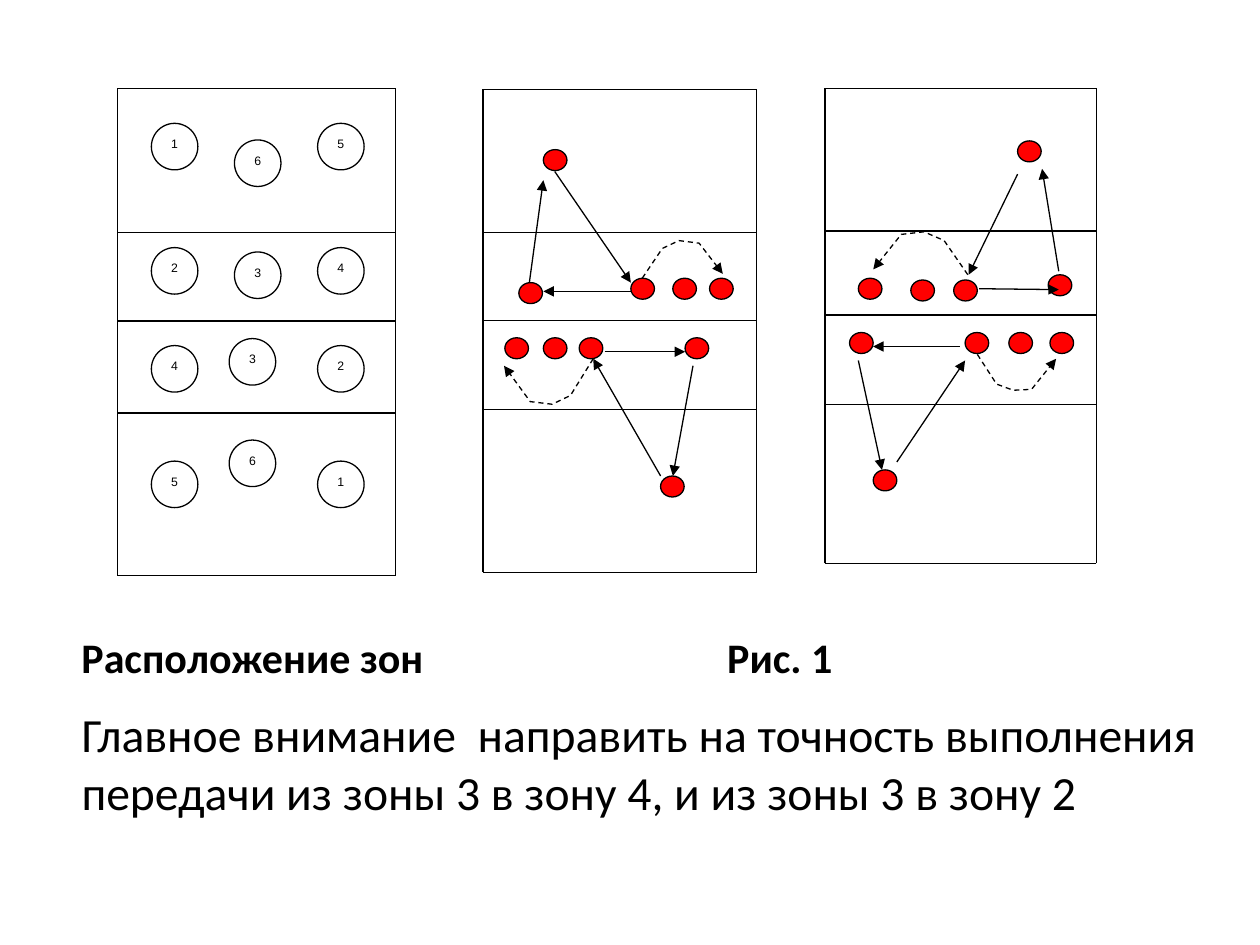
from dataclasses import dataclass
from itertools import pairwise

from lxml.etree import SubElement
from pptx import Presentation
from pptx.dml.color import RGBColor
from pptx.enum.dml import MSO_LINE
from pptx.enum.shapes import MSO_CONNECTOR, MSO_SHAPE
from pptx.enum.text import MSO_ANCHOR, PP_ALIGN
from pptx.oxml.ns import qn
from pptx.util import Pt


@dataclass(frozen=True)
class Theme:
    ink: RGBColor = RGBColor(0, 0, 0)
    paper: RGBColor = RGBColor(255, 255, 255)
    player: RGBColor = RGBColor(255, 0, 0)
    stroke: float = 0.75
    caption: tuple = (("name", "Calibri"), ("size", Pt(24)), ("bold", True))
    body: tuple = (("name", "Calibri"), ("size", Pt(27.2)))
    zone: tuple = (("name", "Arial"), ("size", Pt(7)))


THEME = Theme()
ZONE_SIZE = (26.6, 26.6)
PLAYER_SIZE = (13.5, 12)

# Courts: left, top, right, bottom and the heights of the inner lines
ZONE_COURT = ((67, 50.5, 226, 329), (133, 183.5, 236))
DRILL_COURTS = [
    ((276, 51, 432.5, 327), (133, 183, 234)),
    ((471.5, 50.5, 626.5, 322), (132, 180, 231)),
]

# Zone rows: numbers from left to right, top of outer zones, middle zone
OUTER_LEFTS = (86.5, 181.5)
ZONE_ROWS = [
    ("165", 70.5, (134, 80)),
    ("234", 141.5, (134, 144)),
    ("432", 197.5, (131, 193.5)),
    ("561", 263.5, (131, 251.5)),
]

# Drills, one per drill court: players, ball passes, dashed high passes
PLAYERS = [
    [(310.5, 85.5), (296.5, 161.5), (360.5, 159), (384.5, 159), (405.5, 159),
     (288.5, 193), (310.5, 193), (331, 193), (391.5, 193), (377.5, 272)],
    [(581.5, 80.5), (490.5, 159), (520.5, 160), (545, 160), (599, 157),
     (485.5, 190), (551.5, 190), (576.5, 190), (600, 190), (499, 268.5)],
]
PASSES = [
    [((317, 98), (360.5, 161.5)), ((360.5, 166.5), (310.5, 166.5)),
     ((302.5, 161.5), (310.5, 103)), ((345.5, 201), (391.5, 201)),
     ((396, 209), (384.5, 272)), ((377.5, 272), (339, 205))],
    [((490.5, 206), (504, 268.5)), ((512.5, 264), (551.5, 206)),
     ((581.5, 99.5), (553.5, 157)), ((548.5, 198), (499, 198)),
     ((605, 155), (595.5, 96.5)), ((559.5, 165), (605, 165.5))],
]
HIGH_PASSES = [
    [[(367, 159), (378.5, 142), (388, 137.5), (399.5, 139), (413, 156.5)],
     [(339, 205), (326, 226), (315.5, 231), (303, 229.5), (288, 209)]],
    [[(558.5, 202.5), (569.5, 219.5), (579, 223), (589.5, 222.5), (603.5, 205)],
     [(553, 157), (539.5, 137.5), (528, 132.5), (515, 134), (499, 154)]],
]


def points(*lengths):
    return [Pt(length) for length in lengths]


def write(paragraph, text, style):
    run = paragraph.add_run()
    run.text = text
    for attribute, value in style:
        setattr(run.font, attribute, value)
    run.font.color.rgb = THEME.ink


def outline(line, arrow=False):
    line.color.rgb = THEME.ink
    line.width = Pt(THEME.stroke)
    if arrow:
        SubElement(line._get_or_add_ln(), qn("a:tailEnd"), type="triangle")


def add_line(group, start, end, arrow=False):
    connector = group.shapes.add_connector(
        MSO_CONNECTOR.STRAIGHT, *points(*start, *end))
    outline(connector.line, arrow)
    SubElement(connector._element.spPr, qn("a:effectLst"))


def add_circle(group, position, size, color):
    circle = group.shapes.add_shape(MSO_SHAPE.OVAL, *points(*position, *size))
    circle.shadow.inherit = False
    circle.fill.solid()
    circle.fill.fore_color.rgb = color
    outline(circle.line)
    return circle


def add_zone(group, number, position):
    frame = add_circle(group, position, ZONE_SIZE, THEME.paper).text_frame
    frame.vertical_anchor = MSO_ANCHOR.TOP
    frame.paragraphs[0].alignment = PP_ALIGN.CENTER
    write(frame.paragraphs[0], number, THEME.zone)


def add_high_pass(group, route):
    start, *rest = [points(*point) for point in route]
    builder = group.shapes.build_freeform(*start)
    builder.add_line_segments(rest, close=False)
    curve = builder.convert_to_shape()
    curve.shadow.inherit = False
    curve.fill.background()
    curve.line.dash_style = MSO_LINE.DASH
    outline(curve.line, arrow=True)


def add_court(slide, bounds, inner_lines):
    group = slide.shapes.add_group_shape()
    left, top, right, bottom = bounds
    corners = [(left, top), (right, top), (right, bottom), (left, bottom)]
    for start, end in pairwise(corners + corners[:1]):
        add_line(group, start, end)
    for height in inner_lines:
        add_line(group, (left, height), (right, height))
    return group


def add_text(slide, bounds, text, style, anchor, tab=None):
    box = slide.shapes.add_textbox(*points(*bounds))
    frame = box.text_frame
    frame.word_wrap = True
    frame.vertical_anchor = anchor
    paragraph = frame.paragraphs[0]
    if tab:
        stops = SubElement(paragraph._p.get_or_add_pPr(), qn("a:tabLst"))
        SubElement(stops, qn("a:tab"), pos=str(Pt(tab)), algn="l")
    write(paragraph, text, style)


def main():
    deck = Presentation()
    deck.slide_width, deck.slide_height = points(720, 540)
    slide = deck.slides.add_slide(deck.slide_layouts[6])

    # Caption and main advice
    add_text(slide, (39.5, 348.5, 596, 44.5), "Расположение зон\tРис. 1",
             THEME.caption, MSO_ANCHOR.BOTTOM, tab=369)
    add_text(slide, (39.5, 399.5, 652.5, 106.5),
             "Главное внимание  направить на точность выполнения "
             "передачи из зоны 3 в зону 4, и из зоны 3 в зону 2",
             THEME.body, MSO_ANCHOR.TOP)

    # Court with numbered zones
    zones = add_court(slide, *ZONE_COURT)
    for numbers, outer_top, middle in ZONE_ROWS:
        first, last = [(left, outer_top) for left in OUTER_LEFTS]
        for number, position in zip(numbers, (first, middle, last)):
            add_zone(zones, number, position)

    # Courts with passing drills
    for court, players, passes, high_passes in zip(
            DRILL_COURTS, PLAYERS, PASSES, HIGH_PASSES):
        drill = add_court(slide, *court)
        for position in players:
            add_circle(drill, position, PLAYER_SIZE, THEME.player)
        for start, end in passes:
            add_line(drill, start, end, arrow=True)
        for route in high_passes:
            add_high_pass(drill, route)

    deck.save("out.pptx")


if __name__ == "__main__":
    main()
